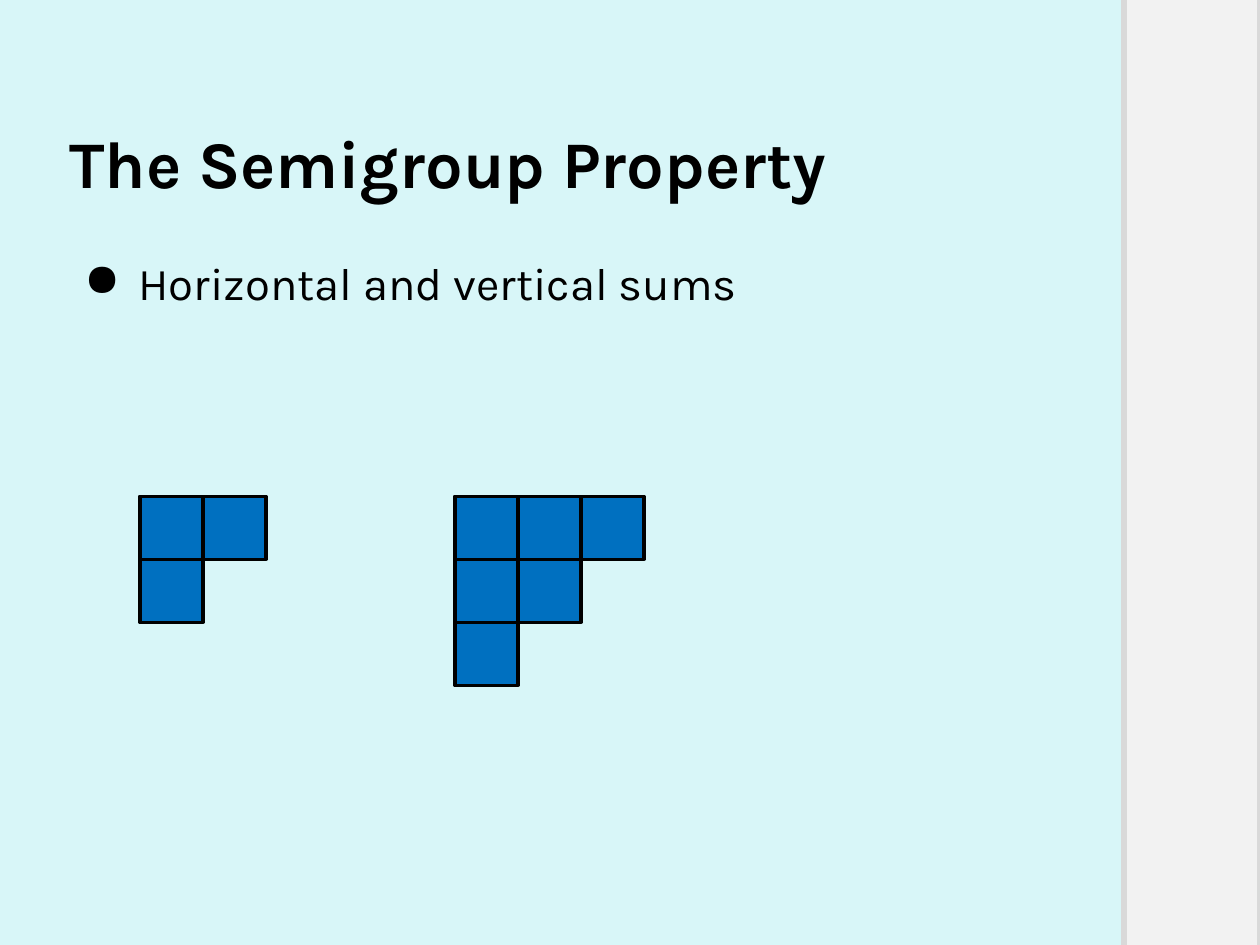
from lxml.etree import SubElement
from pptx import Presentation
from pptx.dml.color import RGBColor
from pptx.enum.shapes import MSO_SHAPE
from pptx.enum.text import MSO_ANCHOR
from pptx.oxml.ns import qn
from pptx.util import Inches, Pt

TITLE = "The Semigroup Property"
BULLET = "Horizontal and vertical sums"
# Each diagram: left edge and the number of cells in each row
DIAGRAMS = [(3.61, (3, 2, 1)), (1.11, (2, 1))]
DIAGRAM_TOP = 3.94
CELL = 0.5

FONT = "Karla"
BACKGROUND = RGBColor(0xD8, 0xF6, 0xF8)
PANEL_FILL = RGBColor(0xF2, 0xF2, 0xF2)
PANEL_LINE = RGBColor(0xD9, 0xD9, 0xD9)
BLUE = RGBColor(0x00, 0x70, 0xC0)
BLACK = RGBColor(0, 0, 0)


def add_rectangle(slide, left, top, width, height, fill, line, line_width):
    shape = slide.shapes.add_shape(
        MSO_SHAPE.RECTANGLE, Inches(left), Inches(top), Inches(width), Inches(height))
    shape.shadow.inherit = False
    shape.fill.solid()
    shape.fill.fore_color.rgb = fill
    shape.line.color.rgb = line
    shape.line.width = Pt(line_width)


def add_text(slide, text, top, height, size, margins, anchor, bold=False, bullet=None):
    box = slide.shapes.add_textbox(Inches(0.5), Inches(top), Inches(7.92), Inches(height))
    frame = box.text_frame
    frame.word_wrap = True
    frame.vertical_anchor = anchor
    frame.margin_left = frame.margin_right = Inches(margins[0])
    frame.margin_top = frame.margin_bottom = Inches(margins[1])
    paragraph = frame.paragraphs[0]
    paragraph.text = text
    if bullet:
        paragraph.line_spacing = 1.5
        properties = paragraph._p.get_or_add_pPr()
        properties.set("marL", str(Inches(0.5)))
        properties.set("indent", str(Inches(-0.43)))
        color = SubElement(properties, qn("a:buClr"))
        SubElement(color, qn("a:srgbClr"), val=str(BLACK))
        SubElement(properties, qn("a:buChar"), char=bullet)
    paragraph.font.name = FONT
    paragraph.font.size = Pt(size)
    paragraph.font.bold = bold
    paragraph.font.color.rgb = BLACK


def add_diagram(slide, left, rows):
    for row, count in enumerate(rows):
        for column in range(count):
            add_rectangle(slide, left + column * CELL, DIAGRAM_TOP + row * CELL,
                          CELL, CELL, BLUE, BLACK, 2)


def main():
    presentation = Presentation()
    presentation.slide_width = Inches(10)
    presentation.slide_height = Inches(7.5)
    slide = presentation.slides.add_slide(presentation.slide_layouts[6])
    slide.background.fill.solid()
    slide.background.fill.fore_color.rgb = BACKGROUND

    add_rectangle(slide, 8.92, -0.08, 1.08, 7.67, PANEL_FILL, PANEL_LINE, 3.15)
    add_text(slide, TITLE, 0.35, 1.25, 38, (0.05, 0), MSO_ANCHOR.BOTTOM, bold=True)
    add_text(slide, BULLET, 1.76, 5.3, 26, (0.1, 0.05), MSO_ANCHOR.TOP, bullet="●")
    for left, rows in DIAGRAMS:
        add_diagram(slide, left, rows)
    presentation.save("out.pptx")


if __name__ == "__main__":
    main()
